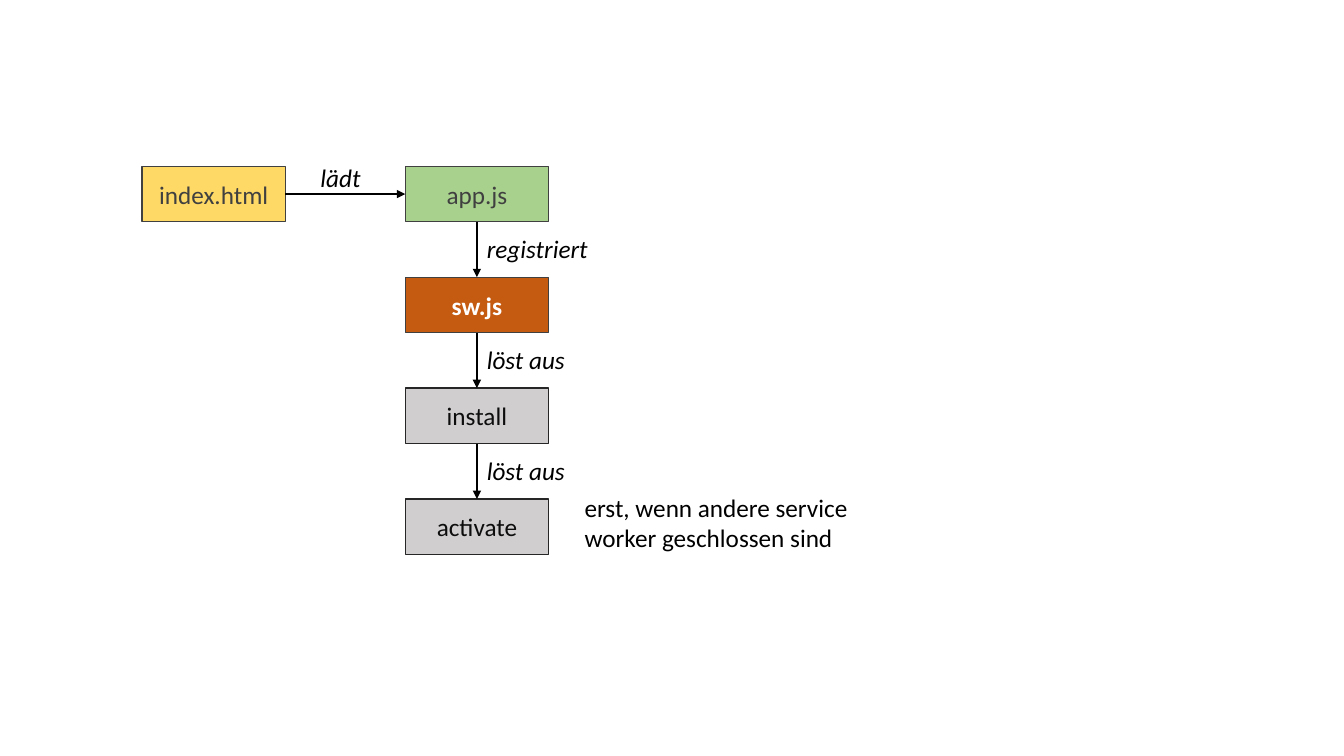
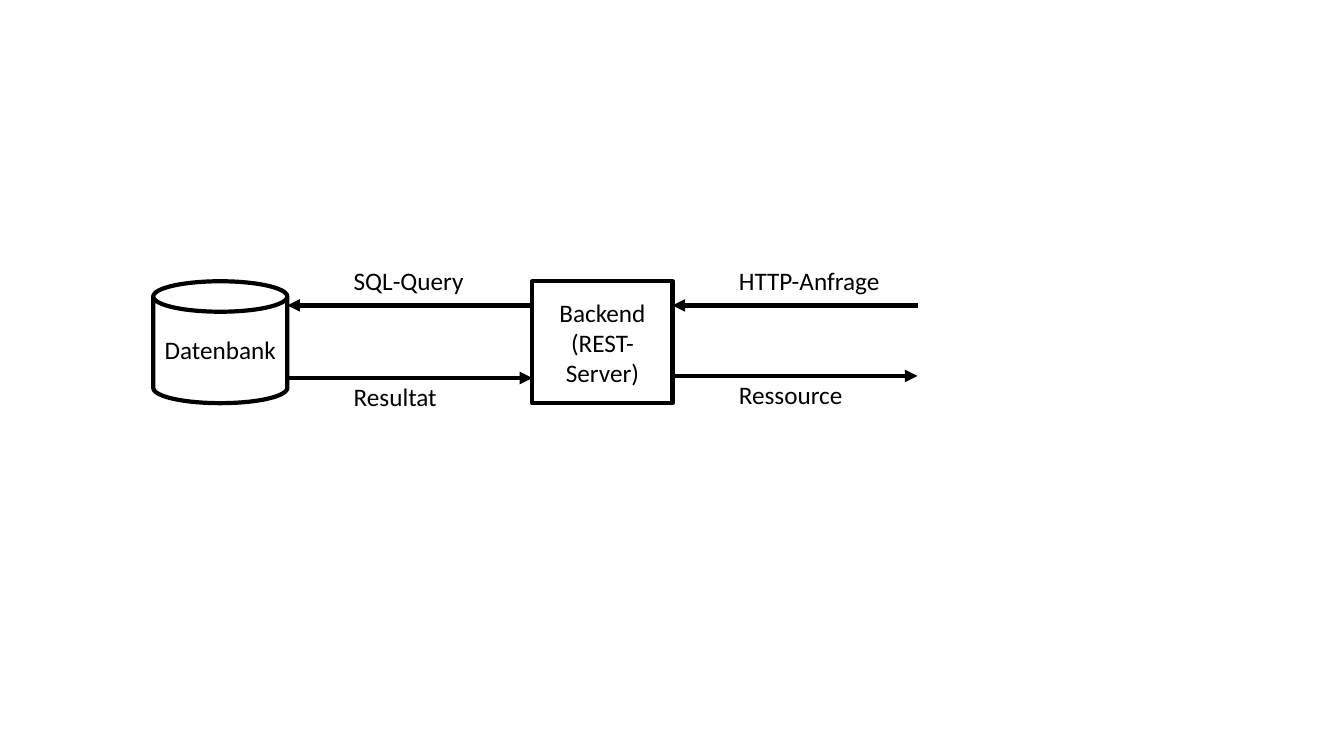
import pptx
import pptx.util
import pptx.dml.color
import pptx.enum.shapes
import pptx.enum.text
import pptx.oxml.ns
import lxml.etree

Inches = pptx.util.Inches
SHAPE = pptx.enum.shapes.MSO_SHAPE

COLORS = {
    "ink": "000000",
    "white": "FFFFFF",
    "page": "FFD966",
    "app": "A9D18E",
    "worker": "C55A11",
    "event": "D0CECE",
    "file_edge": "404040",
    "event_edge": "262626",
    "event_text": "0D0D0D",
}
FONT = "Calibri"
TEXT_SIZE = 18


def rgb(color):
    """Return the palette colour of the given name."""
    return pptx.dml.color.RGBColor.from_string(COLORS[color])


def write(frame, lines, color="ink", align="LEFT", bold=False, italic=False):
    """Fill a text frame with one paragraph for each line."""
    for index, line in enumerate(lines):
        paragraph = frame.add_paragraph() if index else frame.paragraphs[0]
        paragraph.alignment = getattr(pptx.enum.text.PP_ALIGN, align)
        run = paragraph.add_run()
        run.text = line
        run.font.name = FONT
        run.font.size = pptx.util.Pt(TEXT_SIZE)
        run.font.bold = bold
        run.font.italic = italic
        run.font.color.rgb = rgb(color)


def add_node(slide, box, lines, fill=None, edge="ink", edge_width=1, color="ink", bold=False,
             preset=SHAPE.RECTANGLE):
    """Draw one outlined node with centred text."""
    node = slide.shapes.add_shape(preset, *map(Inches, box))
    node.shadow.inherit = False
    if fill:
        node.fill.solid()
        node.fill.fore_color.rgb = rgb(fill)
    else:
        node.fill.background()
    node.line.color.rgb = rgb(edge)
    node.line.width = pptx.util.Pt(edge_width)
    node.text_frame.word_wrap = True
    node.text_frame.vertical_anchor = pptx.enum.text.MSO_ANCHOR.MIDDLE
    write(node.text_frame, lines, color, "CENTER", bold)
    return node


def add_label(slide, box, lines, italic=False, wrap=False):
    """Place free text that fits its box."""
    label = slide.shapes.add_textbox(*map(Inches, box))
    label.text_frame.word_wrap = wrap
    label.text_frame.auto_size = pptx.enum.text.MSO_AUTO_SIZE.SHAPE_TO_FIT_TEXT
    write(label.text_frame, lines, italic=italic)


def add_arrow(slide, start, end, width):
    """Draw a straight arrow from start to end."""
    arrow = slide.shapes.add_connector(
        pptx.enum.shapes.MSO_CONNECTOR.STRAIGHT, *map(Inches, (*start, *end)))
    arrow.line.color.rgb = rgb("ink")
    arrow.line.width = pptx.util.Pt(width)
    qn = pptx.oxml.ns.qn
    lxml.etree.SubElement(arrow.line._get_or_add_ln(), qn("a:tailEnd"), type="triangle")
    lxml.etree.SubElement(arrow._element.spPr, qn("a:effectLst"))
    return arrow


def add_worker_flow(slide, left, top):
    """Draw the page and, beside it, the chain from app to active worker."""
    width, height, pitch = 1.42, 0.55, 1.1
    chain_left = left + 2.61
    center = chain_left + width / 2
    file_style = {"edge": "file_edge", "color": "file_edge"}
    event_style = {"fill": "event", "edge": "event_edge", "color": "event_text"}
    chain = [
        ("app.js", {**file_style, "fill": "app"}),
        ("sw.js", {"fill": "worker", "edge": "file_edge", "color": "white", "bold": True}),
        ("install", event_style),
        ("activate", event_style),
    ]
    page = add_node(slide, (left, top, width, height), ["index.html"], fill="page", **file_style)
    steps = [
        add_node(slide, (chain_left, top + index * pitch, width, height), [name], **style)
        for index, (name, style) in enumerate(chain)
    ]

    middle = top + height / 2
    loads = add_arrow(slide, (left + width, middle), (chain_left, middle), 1.5)
    loads.begin_connect(page, 3)
    loads.end_connect(steps[0], 1)
    add_label(slide, (left + 1.67, top - 0.09, 0.8, 0.4), ["lädt"], italic=True, wrap=True)

    actions = [("registriert", 1.41), ("löst aus", 1.13), ("löst aus", 1.13)]
    for index, (action, label_width) in enumerate(actions):
        y = top + index * pitch + height
        arrow = add_arrow(slide, (center, y), (center, y + pitch - height), 1.5)
        arrow.begin_connect(steps[index], 2)
        arrow.end_connect(steps[index + 1], 0)
        add_label(slide, (center, y + 0.07, label_width, 0.4), [action], italic=True, wrap=True)

    add_label(slide, (chain_left + 1.68, top + 3.18, 2.9, 0.71),
              ["erst, wenn andere service", "worker geschlossen sind"])


def add_exchange(slide, box, request, response):
    """Draw a request to the left above a response to the right, each with its label."""
    left, top, width, height = box
    right, bottom = left + width, top + height
    label_left = left + 0.56
    add_arrow(slide, (right, top), (left, top), 3)
    add_arrow(slide, (left, bottom), (right, bottom), 3)
    for (text, label_width), y in ((request, top - 0.45), (response, bottom - 0.02)):
        add_label(slide, (label_left, y, label_width, 0.4), [text])


def add_backend(slide, left, top):
    """Draw the database, the backend and the exchanges around it."""
    height = 1.21
    database_width, backend_width, span = 1.33, 1.39, 2.43
    backend_left = left + database_width + span
    add_node(slide, (left, top, database_width, height), ["Datenbank"], edge_width=3,
             preset=SHAPE.CAN)
    add_node(slide, (backend_left, top, backend_width, height), ["Backend", "(REST-Server)"],
             edge_width=3)
    add_exchange(slide, (left + database_width, top + 0.24, span, 0.72),
                 ("SQL-Query", 1.3), ("Resultat", 1.03))
    add_exchange(slide, (backend_left + backend_width, top + 0.24, span, 0.7),
                 ("HTTP-Anfrage", 1.61), ("Ressource", 1.24))


def main():
    """Build and save the presentation."""
    deck = pptx.Presentation()
    deck.slide_width, deck.slide_height = Inches(13.33), Inches(7.5)
    blank = deck.slide_layouts[6]
    add_worker_flow(deck.slides.add_slide(blank), 1.41, 1.65)
    add_backend(deck.slides.add_slide(blank), 1.52, 2.79)
    deck.save("out.pptx")


if __name__ == "__main__":
    main()
